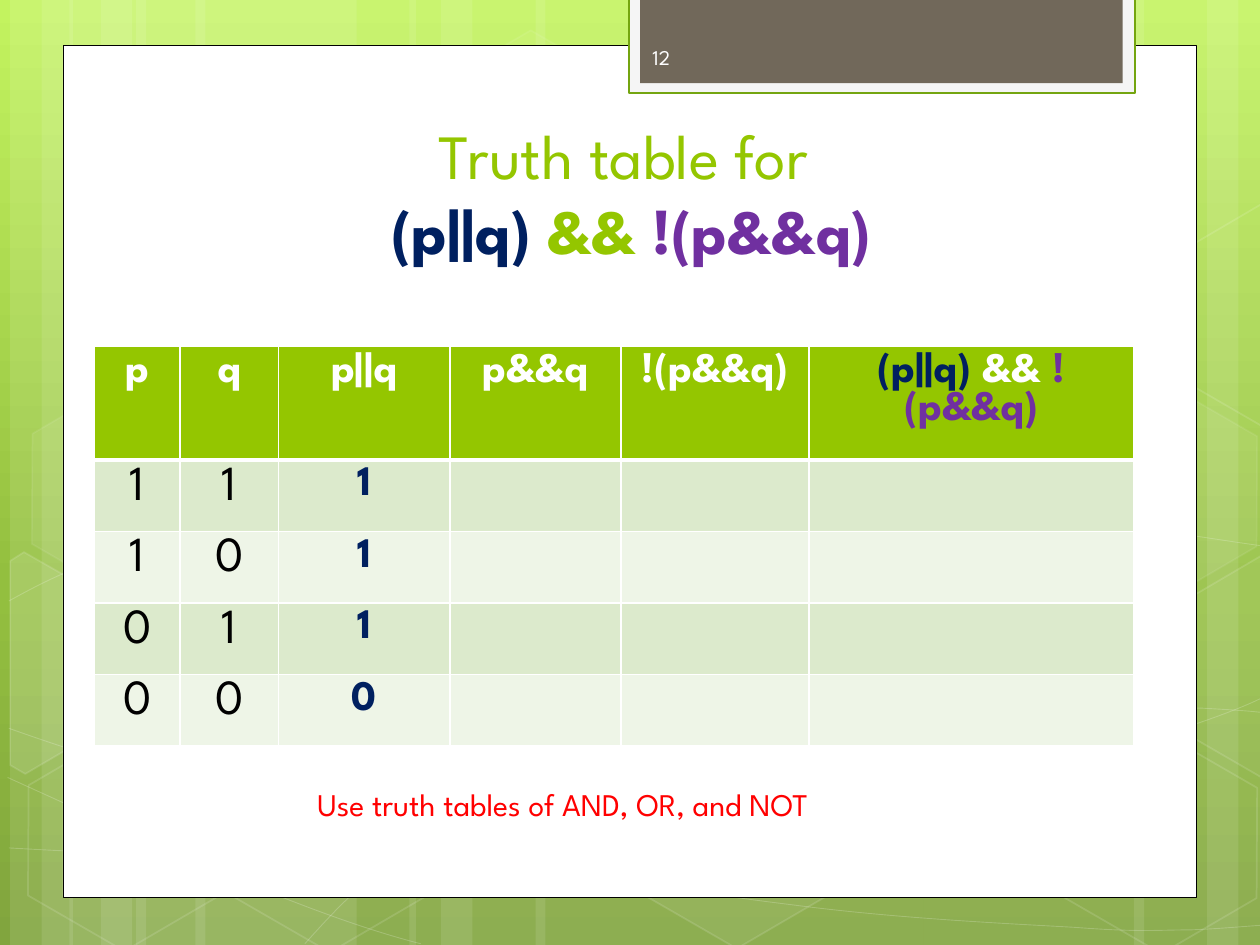
import copy
import math

import pptx
import pptx.dml.color
import pptx.enum.shapes
import pptx.enum.text
import pptx.oxml.ns
import pptx.util
from lxml import etree

RGBColor = pptx.dml.color.RGBColor
SHAPE = pptx.enum.shapes.MSO_SHAPE
ALIGN = pptx.enum.text.PP_ALIGN
ANCHOR = pptx.enum.text.MSO_ANCHOR
qn = pptx.oxml.ns.qn

PX = 9144  # 100 px to the inch
TILT = 30  # degrees, for every hexagon
FONT = "League Spartan"
WHITE = RGBColor(0xFF, 0xFF, 0xFF)
BLACK = RGBColor(0, 0, 0)
GREEN = RGBColor(0x94, 0xC6, 0x00)
DARK_GREEN = RGBColor(0x74, 0xA5, 0x10)
NAVY = RGBColor(0x00, 0x20, 0x60)
PURPLE = RGBColor(0x70, 0x30, 0xA0)
RED = RGBColor(0xFF, 0, 0)
TAUPE = RGBColor(0x71, 0x68, 0x5A)
PALE_GRAY = RGBColor(0xF5, 0xF5, 0xF5)
NUMBER_WHITE = RGBColor(0xFE, 0xFE, 0xFE)
BANDS = (RGBColor(0xDC, 0xEA, 0xCC), RGBColor(0xEE, 0xF5, 0xE7))
SKY = ((0, RGBColor(0xC3, 0xF3, 0x5F)), (0.62, RGBColor(0x93, 0xBF, 0x3F)),
       (1, RGBColor(0x81, 0xA5, 0x3E)))


def add_text(paragraph, text, size=24, color=BLACK, bold=False):
    """Add one run; a newline at its end becomes a line break."""
    run = paragraph.add_run()
    run.text = text.rstrip("\n")
    run.font.name, run.font.size = FONT, pptx.util.Pt(size)
    run.font.color.rgb, run.font.bold = color, bold
    if text.endswith("\n"):
        paragraph.add_line_break()


def paint(fill, color):
    if color is None:
        fill.background()
    else:
        fill.solid()
        fill.fore_color.rgb = color


def set_opacity(parent, opacity):
    color = parent.find(qn("a:solidFill"))[0]
    etree.SubElement(color, qn("a:alpha"), val=str(opacity * 1000))


def turn_back(points, center):
    """Undo the tilt of points around a center."""
    cos, sin = math.cos(math.radians(TILT)), math.sin(math.radians(TILT))
    cx, cy = center
    return [(cx + (x - cx) * cos + (y - cy) * sin,
             cy - (x - cx) * sin + (y - cy) * cos) for x, y in points]


class Canvas:
    def __init__(self, slide):
        self.slide, self.shapes = slide, slide.shapes

    def background(self, stops):
        fill = self.slide.background.fill
        fill.gradient()
        fill.gradient_angle = 270
        stop_list = next(self.slide.element.iter(qn("a:gsLst")))
        stop_list.append(copy.deepcopy(stop_list[0]))
        for stop, (position, color) in zip(fill.gradient_stops, stops):
            stop.position, stop.color.rgb = position, color

    def style(self, shape, fill, line, width, fill_opacity, line_opacity):
        shape.shadow.inherit = False
        paint(shape.fill, fill)
        paint(shape.line.fill, line)
        properties = shape.element.spPr
        if fill is not None and fill_opacity < 100:
            set_opacity(properties, fill_opacity)
        if line is not None:
            shape.line.width = pptx.util.Pt(width)
            if line_opacity < 100:
                set_opacity(properties.find(qn("a:ln")), line_opacity)

    def shape(self, kind, box, fill=None, line=None, width=1,
              fill_opacity=100, line_opacity=100):
        shape = self.shapes.add_shape(kind, *(v * PX for v in box))
        self.style(shape, fill, line, width, fill_opacity, line_opacity)
        return shape

    def hexagon(self, left, top, fill_opacity, line_opacity):
        hexagon = self.shape(SHAPE.HEXAGON, (left, top, 175, 152),
                             WHITE if fill_opacity else None, WHITE, 1,
                             fill_opacity, line_opacity)
        hexagon.adjustments[0] = 0.285
        hexagon.rotation = TILT

    def outline(self, points, close=False, fill_opacity=0, width=1, line_opacity=12):
        points = [(x * PX, y * PX) for x, y in points]
        builder = self.shapes.build_freeform(*points[0])
        builder.add_line_segments(points[1:], close=close)
        outline = builder.convert_to_shape()
        self.style(outline, WHITE if fill_opacity else None,
                   WHITE, width, fill_opacity, line_opacity)
        return outline

    def cut_hexagon(self, points, center, fill_opacity):
        self.outline(turn_back(points, center), True, fill_opacity).rotation = TILT

    def curve(self, points):
        """Draw cubic curves: a start, then two controls and an end each."""
        curve = self.outline(points, width=0.5, line_opacity=20)
        steps = list(curve.element.iter(qn("a:lnTo")))
        for first, second, end in zip(steps[::3], steps[1::3], steps[2::3]):
            cubic = etree.Element(qn("a:cubicBezTo"))
            first.addprevious(cubic)
            for step in (first, second, end):
                cubic.append(step[0])
                step.getparent().remove(step)

    def text(self, box, runs, anchor=ANCHOR.TOP, align=ALIGN.LEFT):
        frame = self.shapes.add_textbox(*(v * PX for v in box)).text_frame
        frame.word_wrap, frame.vertical_anchor = True, anchor
        paragraph = frame.paragraphs[0]
        paragraph.alignment = align
        for text, style in runs:
            add_text(paragraph, text, **style)

    def cell(self, cell, runs, fill, top=1, bottom=1):
        properties = cell._tc.get_or_add_tcPr()
        for side, width in (("L", 1), ("R", 1), ("T", top), ("B", bottom)):
            border = etree.SubElement(properties, qn(f"a:ln{side}"), w=str(width * 12700))
            solid = etree.SubElement(border, qn("a:solidFill"))
            etree.SubElement(solid, qn("a:srgbClr"), val=str(WHITE))
        paint(cell.fill, fill)
        paragraph = cell.text_frame.paragraphs[0]
        paragraph.alignment = ALIGN.CENTER
        for text, style in runs:
            add_text(paragraph, text, **style)

    def table(self, left, top, widths, heights, rows):
        table = self.shapes.add_table(len(heights), len(widths), left * PX, top * PX,
                                      sum(widths) * PX, sum(heights) * PX).table
        for column, width in zip(table.columns, widths):
            column.width = width * PX
        for r, (row, height) in enumerate(zip(rows, heights)):
            table.rows[r].height = height * PX
            for c, runs in enumerate(row):
                self.cell(table.cell(r, c), runs, BANDS[(r - 1) % 2] if r else GREEN,
                          top=3 if r == 1 else 1, bottom=1 if r else 3)


def formula(size, operator_color):
    return [("(p||q) ", dict(size=size, color=NAVY, bold=True)),
            ("&& ", dict(size=size, color=operator_color, bold=True)),
            ("!(p&&q)", dict(size=size, color=PURPLE, bold=True))]


def main():
    deck = pptx.Presentation()
    deck.slide_width, deck.slide_height = 1000 * PX, 750 * PX
    canvas = Canvas(deck.slides.add_slide(deck.slide_layouts[6]))

    # Background: gradient and translucent vertical bands
    canvas.background(SKY)
    for left, width in ((108, 175), (8, 50), (33, 83), (155, 175), (55, 50), (80, 83),
                        (733, 175), (958, 50), (900, 83), (425, 308), (325, 50), (350, 83)):
        canvas.shape(SHAPE.RECTANGLE, (left, 0, width, 750), WHITE, fill_opacity=10)

    # Sweeping curves
    sweeps = (
        ((7, 673), (61, 676), (115, 679), (190, 678), (265, 677), (358, 675), (458, 665),
         (558, 655), (700, 636), (792, 617), (883, 598), (977, 568), (1007, 551)),
        ((7, 477), (36, 461), (65, 446), (121, 431), (178, 416), (259, 394), (347, 387),
         (436, 380), (544, 379), (654, 387), (764, 395), (947, 426), (1007, 434)),
        ((6, 617), (127, 672), (247, 727), (334, 749)),
        ((7, 578), (38, 589), (70, 600), (128, 616), (186, 631), (273, 656), (357, 673),
         (440, 690), (545, 708), (628, 718), (711, 729), (800, 733), (853, 736),
         (905, 740), (919, 738), (945, 738), (971, 737), (989, 735), (1007, 734)),
        ((242, 749), (260, 729), (278, 709), (302, 691), (326, 673), (360, 653), (388, 639),
         (416, 625), (433, 619), (470, 609), (506, 599), (573, 585), (608, 578),
         (644, 571), (649, 571), (680, 569), (711, 566), (760, 563), (794, 562),
         (829, 561), (886, 562), (886, 562), (886, 562), (953, 562), (953, 562),
         (971, 563), (988, 564), (997, 565), (1006, 566), (1003, 565), (1006, 566)),
    )
    for sweep in sweeps:
        canvas.curve(sweep)

    # Hexagons, whole and cut off at the slide edges
    for hexagon in ((334, 36, 4, 8), (497, 589, 6, 12), (11, 591, 0, 12),
                    (14, 312, 7, 8), (174, 592, 0, 12), (753, 453, 10, 12),
                    (834, 593, 0, 12), (834, 314, 7, 8)):
        canvas.hexagon(*hexagon)
    canvas.cut_hexagon([(8, 445), (19, 438), (96, 482), (95, 570), (20, 614), (8, 607)],
                       (36, 535), 10)
    right_cut = [(926, 485), (1001, 441), (1009, 446), (1009, 613), (1002, 617), (926, 573)]
    for rise, opacity in ((0, 4), (279, 0)):
        canvas.cut_hexagon([(x, y - rise) for x, y in right_cut], (985, 520 - rise), opacity)

    # White page and number tab
    canvas.shape(SHAPE.RECTANGLE, (50, 36, 900, 676), WHITE, BLACK, 0.5)
    canvas.shape(SHAPE.RECTANGLE, (499, -2, 402, 76), PALE_GRAY, DARK_GREEN, 1.25)
    canvas.shape(SHAPE.RECTANGLE, (508, -2, 383, 68), TAUPE)
    canvas.text((508, 25, 146, 40), [("12", dict(size=12, color=NUMBER_WHITE))], ANCHOR.MIDDLE)

    # Title
    canvas.text((117, 92, 768, 125),
                [("Truth table for \n", dict(size=36, color=GREEN))] + formula(36, GREEN),
                ANCHOR.BOTTOM, ALIGN.CENTER)

    # Truth table, with the last three columns left to fill in
    header = [[(name, dict(color=WHITE, bold=True))]
              for name in ("p", "q", "p||q", "p&&q", "!(p&&q)")] + [formula(24, WHITE)]
    rows = [header]
    for p, q in ((1, 1), (1, 0), (0, 1), (0, 0)):
        inputs = [[(str(value), dict(size=28))] for value in (p, q)]
        rows.append(inputs + [[(str(p | q), dict(color=NAVY, bold=True))], [], [], []])
    canvas.table(75, 275, (68, 78, 136, 136, 149, 258), (70, 55, 55, 55, 55), rows)

    # Hint
    canvas.text((242, 618, 592, 40),
                [("Use truth tables of AND, OR, and NOT", dict(size=18, color=RED))])

    deck.save("out.pptx")


if __name__ == "__main__":
    main()
